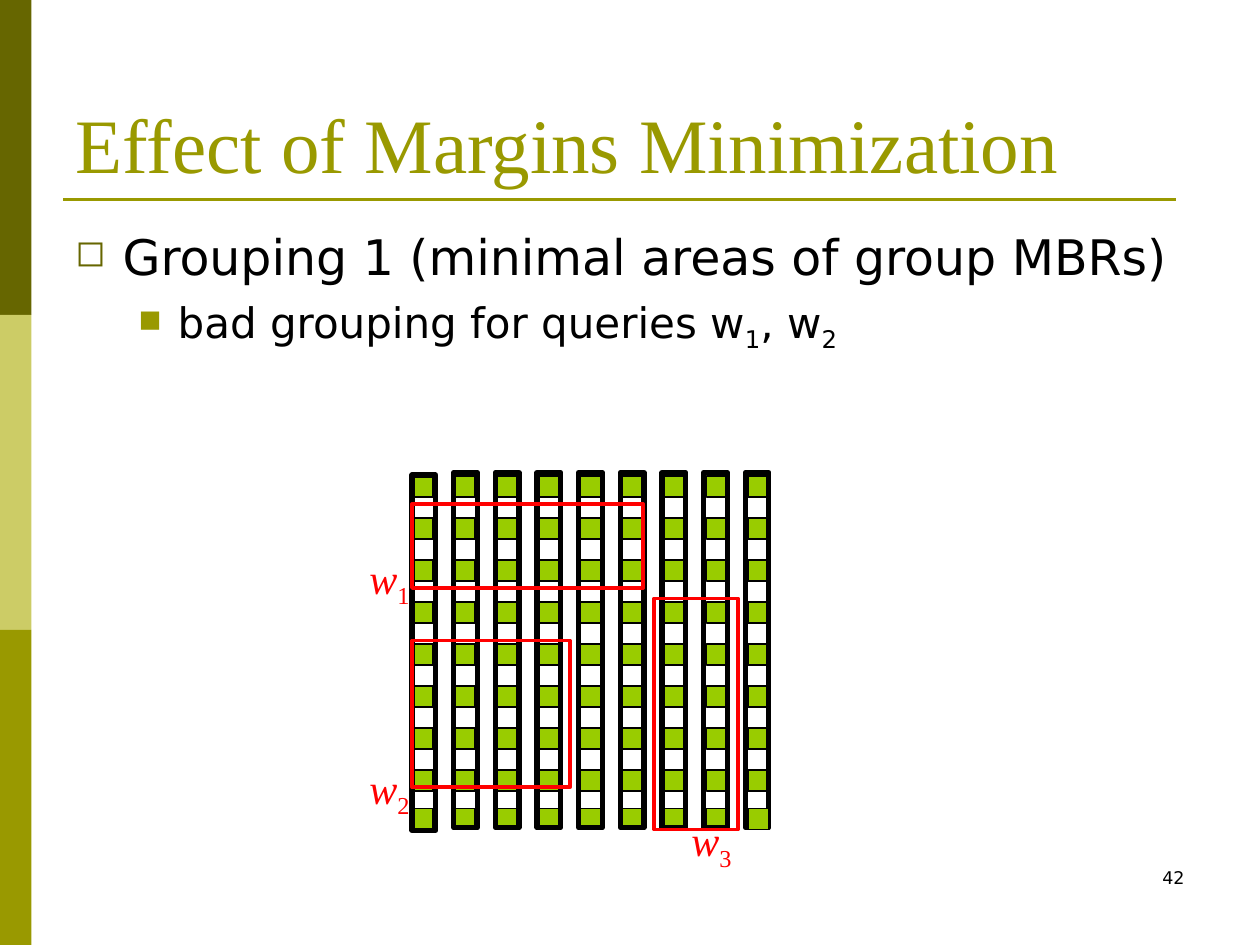
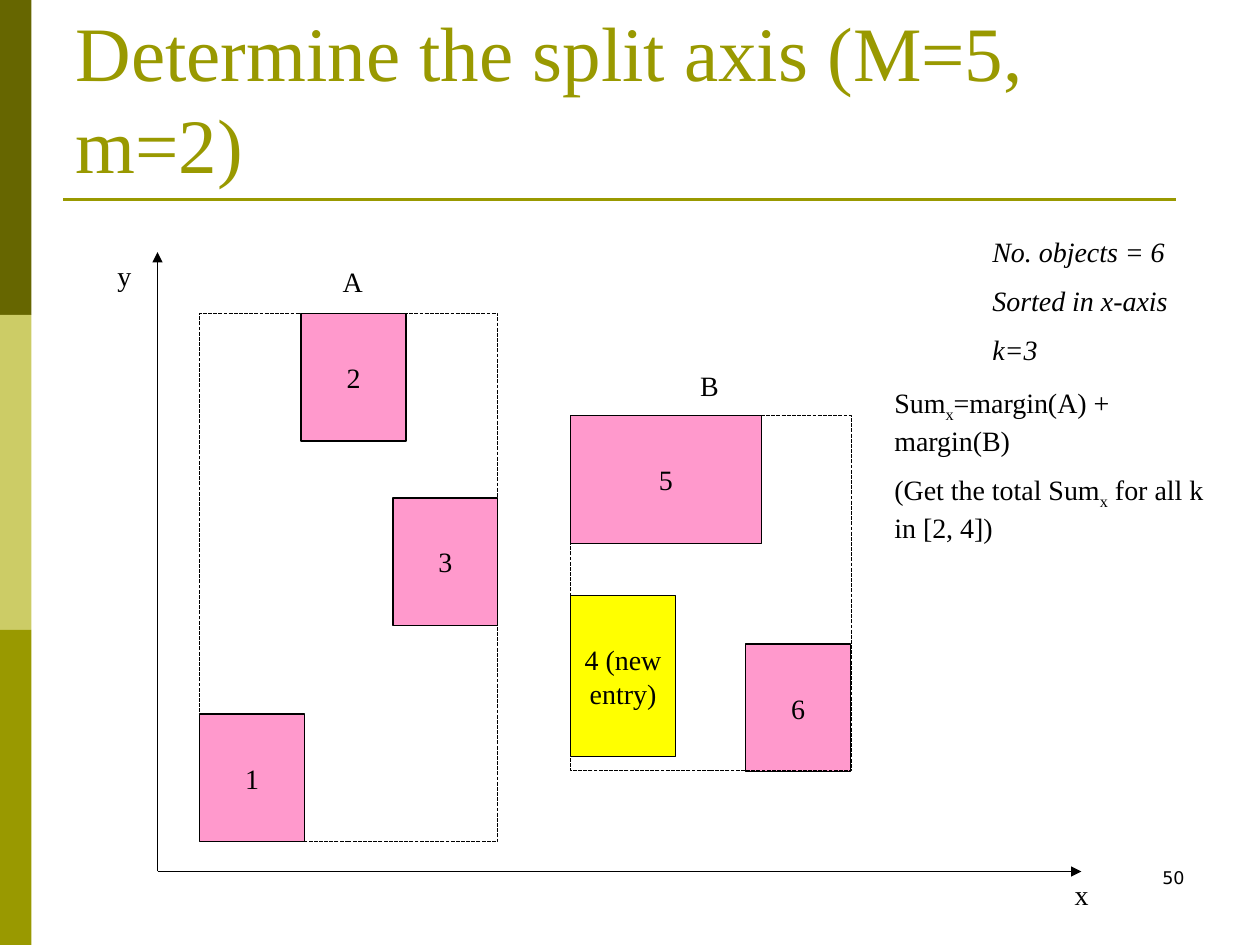
from lxml import etree
from pptx import Presentation
from pptx.dml.color import RGBColor
from pptx.enum.dml import MSO_LINE
from pptx.enum.shapes import MSO_CONNECTOR, MSO_SHAPE
from pptx.enum.text import MSO_ANCHOR, MSO_AUTO_SIZE, PP_ALIGN
from pptx.oxml.ns import qn
from pptx.util import Pt

RECTANGLE = MSO_SHAPE.RECTANGLE
STRAIGHT = MSO_CONNECTOR.STRAIGHT
DASH = MSO_LINE.SQUARE_DOT
TOP, MIDDLE, BOTTOM = MSO_ANCHOR.TOP, MSO_ANCHOR.MIDDLE, MSO_ANCHOR.BOTTOM
LEFT, CENTER, RIGHT = PP_ALIGN.LEFT, PP_ALIGN.CENTER, PP_ALIGN.RIGHT

SERIF, SANS = "Times New Roman", "DejaVu Sans"
BLACK, RED, GREEN, PINK, YELLOW = "000000", "FF0000", "99CC00", "FF99CC", "FFFF00"
DARK_OLIVE, LIGHT_OLIVE, OLIVE = "666600", "CCCC66", "999900"

color = RGBColor.from_string


def add_box(slide, frame, fill=None, line=None, width=0.75):
    shape = slide.shapes.add_shape(RECTANGLE, *map(Pt, frame))
    shape.shadow.inherit = False
    if fill:
        shape.fill.solid()
        shape.fill.fore_color.rgb = color(fill)
    else:
        shape.fill.background()
    if line:
        shape.line.color.rgb = color(line)
        shape.line.width = Pt(width)
    else:
        shape.line.fill.background()
    return shape


# Odd runs of each paragraph are subscripts.
def write(shape, paragraphs, size=16, font=SERIF, text_color=BLACK, italic=False,
          align=LEFT, anchor=TOP, wrap=True):
    frame = shape.text_frame
    frame.word_wrap = wrap
    frame.auto_size = MSO_AUTO_SIZE.NONE
    frame.vertical_anchor = anchor
    for index, runs in enumerate(paragraphs):
        paragraph = frame.add_paragraph() if index else frame.paragraphs[0]
        paragraph.alignment = align
        paragraph.space_before = Pt(8.7 if index else 0)
        paragraph.font.size = Pt(size)
        paragraph.font.name = font
        paragraph.font.italic = italic
        paragraph.font.color.rgb = color(text_color)
        for position, text in enumerate(runs):
            run = paragraph.add_run()
            run.text = text
            if position % 2:
                run.font.italic = False
                run._r.get_or_add_rPr().set("baseline", "-25000")


presentation = Presentation()
presentation.slide_width, presentation.slide_height = Pt(720), Pt(540)
title_only = presentation.slide_layouts[5]

rule = (36, 114, 672, 114, OLIVE, 1.5, False)
y_axis = (90, 498, 90, 144, BLACK, 0.75, True)
x_axis = (90, 498, 618, 498, BLACK, 0.75, True)
pages = [
    ("Effect of Margins Minimization", "42", [rule]),
    ("Determine the split axis (M=5, m=2)", "50", [rule, y_axis, x_axis]),
]
slides = []
for title_text, number, lines in pages:
    slide = presentation.slides.add_slide(title_only)
    slides.append(slide)
    for index, band_color in enumerate([DARK_OLIVE, LIGHT_OLIVE, OLIVE]):
        add_box(slide, (0, 180 * index, 18, 180), band_color)
    for x1, y1, x2, y2, line_color, width, arrow in lines:
        connector = slide.shapes.add_connector(STRAIGHT, Pt(x1), Pt(y1), Pt(x2), Pt(y2))
        connector.line.color.rgb = color(line_color)
        connector.line.width = Pt(width)
        if arrow:
            etree.SubElement(connector.line._get_or_add_ln(), qn("a:tailEnd"), type="triangle")
        etree.SubElement(connector._element.spPr, qn("a:effectLst"))
    title = slide.shapes.title
    title.left, title.top, title.width, title.height = Pt(36), Pt(21.6), Pt(648), Pt(90)
    write(title, [[title_text]], 44, text_color=OLIVE, anchor=BOTTOM)
    number_box = slide.shapes.add_textbox(Pt(516), Pt(492), Pt(168), Pt(36))
    write(number_box, [[number]], 10, SANS, align=RIGHT)

margins_slide, split_slide = slides

body = margins_slide.shapes.add_textbox(Pt(36), Pt(126), Pt(648), Pt(384))
write(body, [["Grouping 1 (minimal areas of group MBRs)"],
             ["bad grouping for queries w", "1", ", w", "2"]], 24, SANS)
bullets = [(27, -27, "◻", DARK_OLIVE), (58.5, -22.5, "■", OLIVE)]
for paragraph, (margin, indent, character, bullet_color) in zip(body.text_frame.paragraphs, bullets):
    properties = paragraph._p.get_or_add_pPr()
    properties.set("marL", str(Pt(margin)))
    properties.set("indent", str(Pt(indent)))
    bullet_fill = etree.Element(qn("a:buClr"))
    etree.SubElement(bullet_fill, qn("a:srgbClr"), val=bullet_color)
    bullet_size = etree.Element(qn("a:buSzPct"), val="75000")
    bullet = etree.Element(qn("a:buChar"), char=character)
    default_font = properties.find(qn("a:defRPr"))
    for element in (bullet_fill, bullet_size, bullet):
        default_font.addprevious(element)
heading, detail = body.text_frame.paragraphs
heading.font.size = Pt(28)
detail.space_before = Pt(6)

columns = 9
cell_tops = [272 + 24 * row for row in range(8)] + [462]
cells = [(235.5 + 24 * column, top, 12, 12) for column in range(columns) for top in cell_tops]
for cell in cells[:-1]:
    add_box(margins_slide, cell, GREEN, BLACK)
for column in range(columns):
    group_top = 270 if column else 271.5
    add_box(margins_slide, (235.5 + 23.8 * column, group_top, 13.5, 203), None, BLACK, 3)
add_box(margins_slide, cells[-1], GREEN, BLACK)

queries = [
    ("1", (235.5, 288, 132, 48), (204, 312)),
    ("2", (235.5, 366, 90, 84), (204, 432)),
    ("3", (373.75, 342, 48, 132), (388, 462)),
]
for _, window, _ in queries:
    add_box(margins_slide, window, None, RED, 2.25)
for number, _, (left, top) in queries:
    label = margins_slide.shapes.add_textbox(Pt(left), Pt(top), Pt(38), Pt(36))
    write(label, [["w", number]], 24, text_color=RED, italic=True, wrap=False)

entries = [
    ("1", (114, 408, 60, 73), PINK),
    ("2", (172, 179, 60, 73), PINK),
    ("3", (224.5, 284.5, 60, 73), PINK),
    ("5", (326, 237.5, 109, 73), PINK),
    ("4 (new entry)", (326, 340.5, 60, 92), YELLOW),
    ("6", (426, 368, 60, 73), PINK),
]
for text, frame, fill in entries:
    write(add_box(split_slide, frame, fill, BLACK), [[text]], align=CENTER, anchor=MIDDLE)
for frame in [(114, 179, 170.5, 302), (326, 237.5, 160.5, 203)]:
    add_box(split_slide, frame, None, BLACK).line.dash_style = DASH

for text, left, top, width in [("x", 607, 498, 22.5), ("y", 60, 144, 22.5),
                               ("A", 188.75, 147.5, 26), ("B", 393, 207, 26)]:
    label = split_slide.shapes.add_textbox(Pt(left), Pt(top), Pt(width), Pt(26.5))
    write(label, [[text]], wrap=False)

facts = split_slide.shapes.add_textbox(Pt(560), Pt(130.5), Pt(116), Pt(85))
write(facts, [["No. objects = 6"], ["Sorted in x-axis"], ["k=3"]], italic=True, wrap=False)
sums = split_slide.shapes.add_textbox(Pt(504), Pt(216.5), Pt(194.5), Pt(94))
write(sums, [["Sum", "x", "=margin(A) + margin(B)"],
             ["(Get the total Sum", "x", " for all k in [2, 4])"]])

presentation.save("out.pptx")
